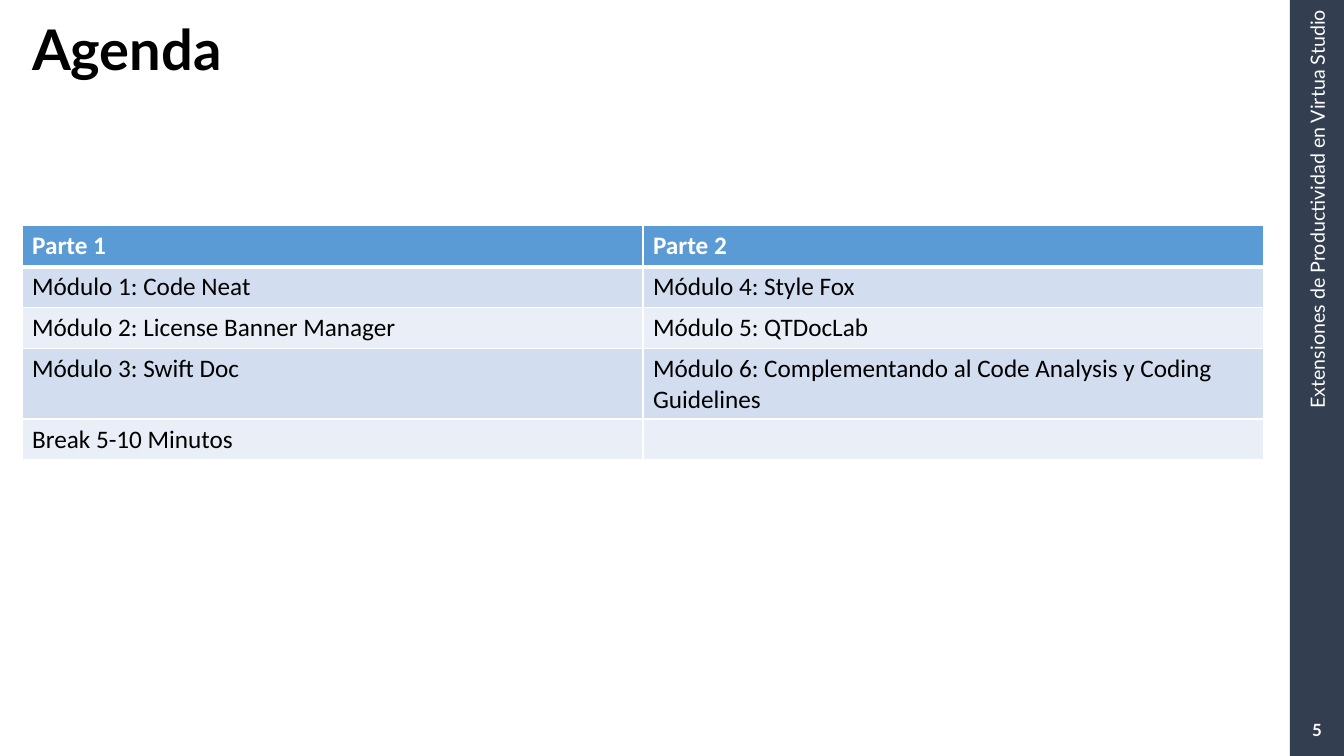
from lxml import etree
from pptx import Presentation
from pptx.dml.color import RGBColor
from pptx.enum.shapes import MSO_SHAPE
from pptx.enum.text import MSO_ANCHOR, PP_ALIGN
from pptx.oxml.ns import qn
from pptx.util import Pt

RECTANGLE = MSO_SHAPE.RECTANGLE
TOP, MIDDLE = MSO_ANCHOR.TOP, MSO_ANCHOR.MIDDLE
LEFT, CENTER, RIGHT = PP_ALIGN.LEFT, PP_ALIGN.CENTER, PP_ALIGN.RIGHT

COLORS = {
    "sidebar": "333F50",
    "sidebar_text": "FDFDFD",
    "white": "FFFFFF",
    "black": "000000",
    "header": "5B9BD5",
    "odd_row": "D2DEEF",
    "even_row": "EAEFF7",
}
AGENDA = [
    ("Parte 1", "Parte 2"),
    ("Módulo 1: Code Neat", "Módulo 4: Style Fox"),
    ("Módulo 2: License Banner Manager", "Módulo 5: QTDocLab"),
    ("Módulo 3: Swift Doc",
     "Módulo 6: Complementando al Code Analysis y Coding Guidelines"),
    ("Break 5-10 Minutos", ""),
]
ROW_HEIGHTS = [29.2, 29.2, 29.2, 50.4, 29.2]
COLUMN_WIDTH = 443.5


def color(name):
    return RGBColor.from_string(COLORS[name])


def format_text(para, font, size, color_name, bold):
    for span in para.runs:
        span.font.name = font
        span.font.size = Pt(size)
        span.font.bold = bold
        span.font.color.rgb = color(color_name)


def add_sidebar(page, left, top, width, height):
    bar = page.shapes.add_shape(RECTANGLE, Pt(left), Pt(top), Pt(width), Pt(height))
    bar.shadow.inherit = False
    bar.fill.solid()
    bar.fill.fore_color.rgb = color("sidebar")
    bar.line.fill.background()


def add_text(page, text, bounds, size, color_name, bold=False, align=LEFT, anchor=TOP):
    box = page.shapes.add_textbox(*map(Pt, bounds))
    frame = box.text_frame
    frame.word_wrap = True
    frame.vertical_anchor = anchor
    frame.text = text
    para = frame.paragraphs[0]
    para.alignment = align
    format_text(para, "Lato", size, color_name, bold)
    return box


def set_borders(cell, bottom_width):
    properties = cell._tc.get_or_add_tcPr()
    widths = {"a:lnL": 1, "a:lnR": 1, "a:lnT": 1, "a:lnB": bottom_width}
    for position, (tag, width) in enumerate(widths.items()):
        line = etree.Element(qn(tag), w=str(Pt(width)))
        fill = etree.SubElement(line, qn("a:solidFill"))
        etree.SubElement(fill, qn("a:srgbClr"), val=COLORS["white"])
        properties.insert(position, line)


def fill_cell(cell, text, row_index):
    is_header = row_index == 0
    row_color = "odd_row" if row_index % 2 else "even_row"
    cell.fill.solid()
    cell.fill.fore_color.rgb = color("header" if is_header else row_color)
    cell.text = text
    text_color = "white" if is_header else "black"
    format_text(cell.text_frame.paragraphs[0], "Calibri", 18, text_color, is_header)
    set_borders(cell, 3 if is_header else 1)


def add_agenda_table(page, left, top):
    columns = len(AGENDA[0])
    table = page.shapes.add_table(
        len(AGENDA), columns, Pt(left), Pt(top),
        Pt(COLUMN_WIDTH * columns), Pt(sum(ROW_HEIGHTS)),
    ).table
    for column in table.columns:
        column.width = Pt(COLUMN_WIDTH)
    for row_index, (texts, height) in enumerate(zip(AGENDA, ROW_HEIGHTS)):
        table.rows[row_index].height = Pt(height)
        for column_index, text in enumerate(texts):
            fill_cell(table.cell(row_index, column_index), text, row_index)


def main():
    deck = Presentation()
    deck.slide_width, deck.slide_height = Pt(960), Pt(540)
    page = deck.slides.add_slide(deck.slide_layouts[6])

    add_sidebar(page, 921.4, 0, 38.6, 540)
    course = add_text(page, "Extensiones de Productividad en Virtua Studio",
                      (761, 167.8, 360, 24.5), 14, "sidebar_text", align=RIGHT)
    course.rotation = 270
    add_text(page, "5", (921.4, 507, 38.6, 29), 12, "white", True, CENTER, MIDDLE)
    title = add_text(page, "Agenda", (15.8, 12.2, 898.6, 104.4), 40, "black", True)
    title.text_frame.paragraphs[0].line_spacing = 0.9
    add_agenda_table(page, 15.8, 161.3)

    deck.save("out.pptx")


main()
